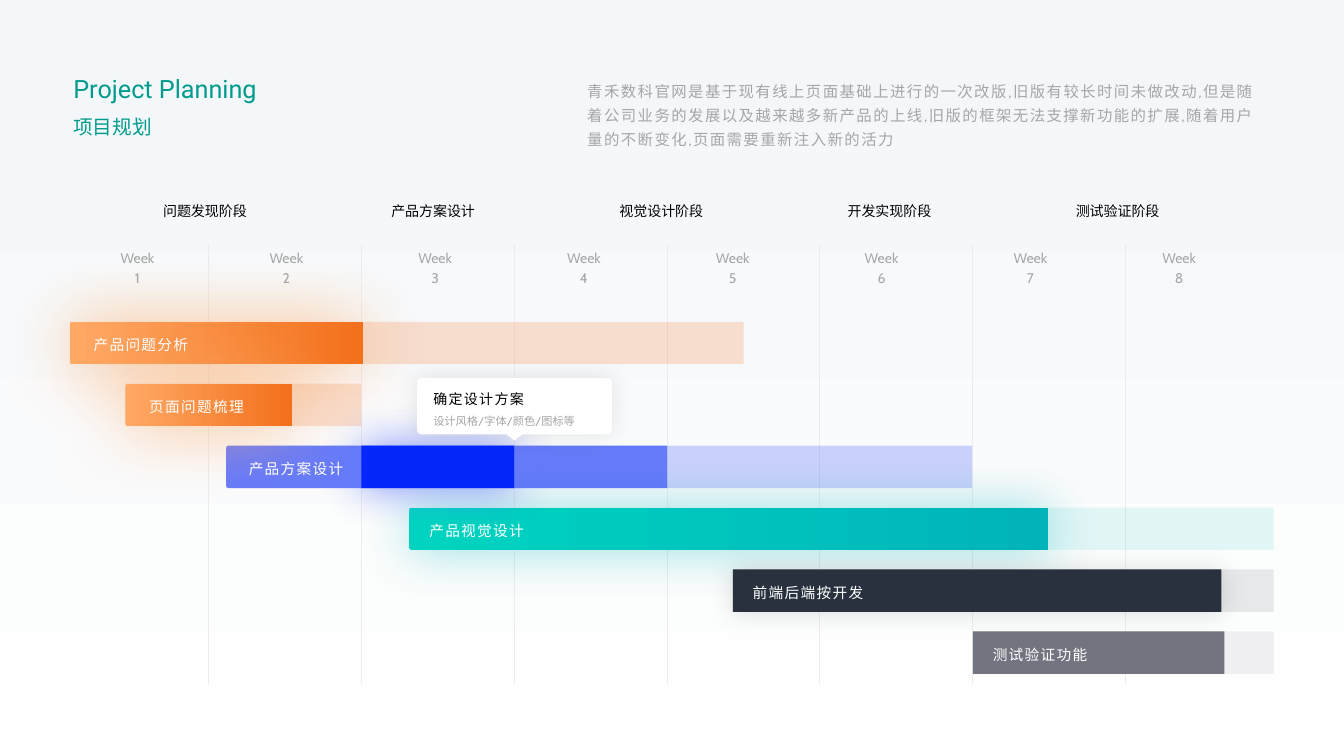
from collections import namedtuple
from math import cos, radians, sin

from lxml.etree import SubElement
from pptx import Presentation
from pptx.dml.color import RGBColor
from pptx.enum.shapes import MSO_CONNECTOR, MSO_SHAPE
from pptx.enum.text import MSO_AUTO_SIZE, PP_ALIGN
from pptx.oxml.ns import qn
from pptx.util import Cm, Pt

BACK_TOP = RGBColor(0xF3, 0xF7, 0xFA)
BACK_BOTTOM = RGBColor(0xFE, 0xFE, 0xFE)
GRID = RGBColor(0xEC, 0xEC, 0xEC)
TEAL_TEXT = RGBColor(0x00, 0x9B, 0x8C)
GRAY_TEXT = RGBColor(0xA6, 0xA6, 0xA6)
BLACK = RGBColor(0x00, 0x00, 0x00)
WHITE = RGBColor(0xFF, 0xFF, 0xFF)
ORANGE_LIGHT = RGBColor(0xFF, 0xA9, 0x65)
ORANGE_DARK = RGBColor(0xF3, 0x70, 0x1C)
ORANGE = RGBColor(0xF2, 0x6D, 0x17)
BLUE = RGBColor(0x06, 0x28, 0xFA)
BLUE_STRONG = RGBColor(0x05, 0x27, 0xFB)
BLUE_GLOW = RGBColor(0x66, 0x7B, 0xFB)
GREEN_LIGHT = RGBColor(0x00, 0xD4, 0xC0)
GREEN_DARK = RGBColor(0x00, 0xB4, 0xBA)
GREEN = RGBColor(0x01, 0xB9, 0xBF)
NAVY = RGBColor(0x29, 0x31, 0x3E)
SLATE = RGBColor(0x72, 0x74, 0x80)

# All positions below are in centimetres
GRID_LEFT, GRID_STEP, GRID_TOP, GRID_BOTTOM = 5.26, 3.85, 6.15, 17.23
ROW_TOP, ROW_STEP, BAR_HEIGHT = 8.11, 1.56, 1.07
CHART_RIGHT = 32.1

Glow = namedtuple("Glow", "color opacity blur")
Task = namedtuple("Task", "label label_left start done end track opacity colors rounded glow")
ORANGE_GLOW = Glow(ORANGE_LIGHT, 75, 52)
ORANGE_BLEND = (ORANGE_LIGHT, ORANGE_DARK)

TASKS = [
    Task("产品问题分析", 2.11, 1.76, 9.15, 18.74, ORANGE, 20, ORANGE_BLEND, True, ORANGE_GLOW),
    Task("页面问题梳理", 3.51, 3.16, 7.37, 9.11, ORANGE, 20, ORANGE_BLEND, True, ORANGE_GLOW),
    Task("产品方案设计", 6.02, 5.7, 16.81, 24.5, BLUE, 20, (BLUE,), True, None),
    Task("产品视觉设计", 10.57, 10.31, 26.42, CHART_RIGHT, GREEN, 10,
         (GREEN_LIGHT, GREEN_DARK), True, Glow(GREEN_DARK, 40, 37)),
    Task("前端后端按开发", 18.72, 18.47, 30.78, CHART_RIGHT, NAVY, 10,
         (NAVY,), False, Glow(BLACK, 12, 18)),
    Task("测试验证功能", 24.77, 24.52, 30.86, CHART_RIGHT, SLATE, 10, (SLATE,), False, None),
]
DESIGN_ROW = 2
DRAW_ORDER = [5, 0, 3, 4, 2, 1]
PHASES = ["问题发现阶段", "产品方案设计", "视觉设计阶段", "开发实现阶段", "测试验证阶段"]
DESCRIPTION = ("青禾数科官网是基于现有线上页面基础上进行的一次改版,旧版有较长时间未做改动,但是"
               "随着公司业务的发展以及越来越多新产品的上线,旧版的框架无法支撑新功能的扩展,随着"
               "用户量的不断变化,页面需要重新注入新的活力")


def row_top(row):
    return ROW_TOP + row * ROW_STEP


def blend(fill, colors, angle):
    fill.gradient()
    fill.gradient_angle = angle
    for stop, color in zip(fill.gradient_stops, colors):
        stop.color.rgb = color


def paint(shape, colors, opacity=100, glow=None):
    shape.line.fill.background()
    shape.shadow.inherit = False
    properties = shape.element.spPr
    if len(colors) > 1:
        blend(shape.fill, colors, 0)
    else:
        shape.fill.solid()
        shape.fill.fore_color.rgb = colors[0]
        if opacity < 100:
            color = properties.find(qn("a:solidFill")).find(qn("a:srgbClr"))
            SubElement(color, qn("a:alpha"), val=str(opacity * 1000))
    if glow:
        shadow = SubElement(properties.find(qn("a:effectLst")), qn("a:outerShdw"),
                            blurRad=str(Pt(glow.blur)), dist="0", dir="0",
                            algn="ctr", rotWithShape="0")
        color = SubElement(shadow, qn("a:srgbClr"), val=str(glow.color))
        SubElement(color, qn("a:alpha"), val=str(glow.opacity * 1000))


def add_bar(slide, left, right, top, colors, opacity=100, glow=None):
    bar = slide.shapes.add_shape(MSO_SHAPE.RECTANGLE, Cm(left), Cm(top),
                                 Cm(right - left), Cm(BAR_HEIGHT))
    paint(bar, colors, opacity, glow)


def corner(x, y, radius, start):
    """Quarter circle around (x, y), clockwise from the start angle."""
    angles = [radians(start + step * 15) for step in range(7)]
    return [(x + radius * cos(angle), y + radius * sin(angle)) for angle in angles]


def add_outline(slide, points):
    points = [(Cm(x), Cm(y)) for x, y in points]
    builder = slide.shapes.build_freeform(*points[0])
    builder.add_line_segments(points[1:], close=True)
    return builder.convert_to_shape()


def add_rounded_bar(slide, left, right, top, colors, opacity=100, glow=None):
    radius, bottom = 0.08, top + BAR_HEIGHT
    points = (corner(left + radius, bottom - radius, radius, 90)
              + corner(left + radius, top + radius, radius, 180)
              + [(right, top), (right, bottom)])
    paint(add_outline(slide, points), colors, opacity, glow)


def add_callout(slide, left, top, right, bottom, tip):
    radius, middle = 0.12, (left + right) / 2
    points = (corner(left + radius, top + radius, radius, 180)
              + corner(right - radius, top + radius, radius, 270)
              + corner(right - radius, bottom - radius, radius, 0)
              + [(middle + 0.2, bottom), (middle, tip), (middle - 0.2, bottom)]
              + corner(left + radius, bottom - radius, radius, 90))
    paint(add_outline(slide, points), (WHITE,), glow=Glow(BLACK, 9, 18))


def add_text(slide, text, left, top, width, height, size, font, color,
             line_spacing=1.2, align=PP_ALIGN.LEFT, tracking=0):
    box = slide.shapes.add_textbox(Cm(left), Cm(top), Cm(width), Cm(height))
    frame = box.text_frame
    frame.word_wrap = True
    frame.auto_size = MSO_AUTO_SIZE.SHAPE_TO_FIT_TEXT
    frame.text = text
    for paragraph in frame.paragraphs:
        paragraph.alignment = align
        paragraph.line_spacing = line_spacing
        for run in paragraph.runs:
            run.font.size = Pt(size)
            run.font.name = font
            run.font.color.rgb = color
            if tracking:
                run.font.element.set("spc", str(tracking * 100)) if hasattr(
                    run.font, "element") else run._r.get_or_add_rPr().set(
                    "spc", str(tracking * 100))


def add_grid_line(slide, x):
    line = slide.shapes.add_connector(MSO_CONNECTOR.STRAIGHT, Cm(x), Cm(GRID_TOP),
                                      Cm(x), Cm(GRID_BOTTOM))
    line.line.color.rgb = GRID
    line.line.width = Pt(0.5)
    SubElement(line.element.spPr, qn("a:effectLst"))


def main():
    presentation = Presentation()
    presentation.slide_width, presentation.slide_height = Cm(33.87), Cm(19.05)
    slide = presentation.slides.add_slide(presentation.slide_layouts[6])
    blend(slide.background.fill, (BACK_TOP, BACK_BOTTOM), 270)

    # Week grid
    for column in range(7):
        add_grid_line(slide, GRID_LEFT + column * GRID_STEP)

    # Planned spans, then finished parts
    for row, task in enumerate(TASKS):
        add_bar(slide, task.start, task.end, row_top(row), (task.track,), task.opacity)
    for row in DRAW_ORDER:
        task = TASKS[row]
        draw = add_rounded_bar if task.rounded else add_bar
        opacity = 50 if row == DESIGN_ROW else 100
        draw(slide, task.start, task.done, row_top(row), task.colors, opacity, task.glow)
        if row == DESIGN_ROW:
            add_bar(slide, GRID_LEFT + GRID_STEP, GRID_LEFT + 2 * GRID_STEP, row_top(row),
                    (BLUE_STRONG,), glow=Glow(BLUE_GLOW, 82, 32))
    add_callout(slide, 10.51, 9.53, 15.42, 10.95, 11.1)

    # Heading and description
    add_text(slide, "Project Planning", 1.6, 1.73, 7.44, 1.02, 18, "Roboto", TEAL_TEXT, 1)
    add_text(slide, "项目规划", 1.6, 2.77, 6.22, 0.86, 14, "Karla", TEAL_TEXT, 1)
    add_text(slide, DESCRIPTION, 14.55, 1.8, 17.55, 2.06, 11, "Cabin", GRAY_TEXT, 1.3,
             tracking=1)

    # Phase and week headers
    for index, phase in enumerate(PHASES):
        add_text(slide, phase, 3.45 + index * 5.75, 4.9, 3.43, 0.74, 10, "Karla", BLACK,
                 align=PP_ALIGN.CENTER)
    for index in range(8):
        add_text(slide, f"Week\n{index + 1}", 2.26 + index * 3.75, 6.07, 2.41, 1.27, 10,
                 "Cabin", GRAY_TEXT, align=PP_ALIGN.CENTER)

    # Task labels and callout text
    for row, task in enumerate(TASKS):
        add_text(slide, task.label, task.label_left, row_top(row) + 0.15, 3.43, 0.78, 10.5,
                 "Karla", WHITE, tracking=1)
    add_text(slide, "确定设计方案", 10.67, 9.63, 3.43, 0.74, 10, "Karla", BLACK, tracking=1)
    add_text(slide, "设计风格/字体/颜色/图标等", 10.67, 10.24, 4.67, 0.64, 8, "Cabin", GRAY_TEXT)

    presentation.save("out.pptx")


if __name__ == "__main__":
    main()
